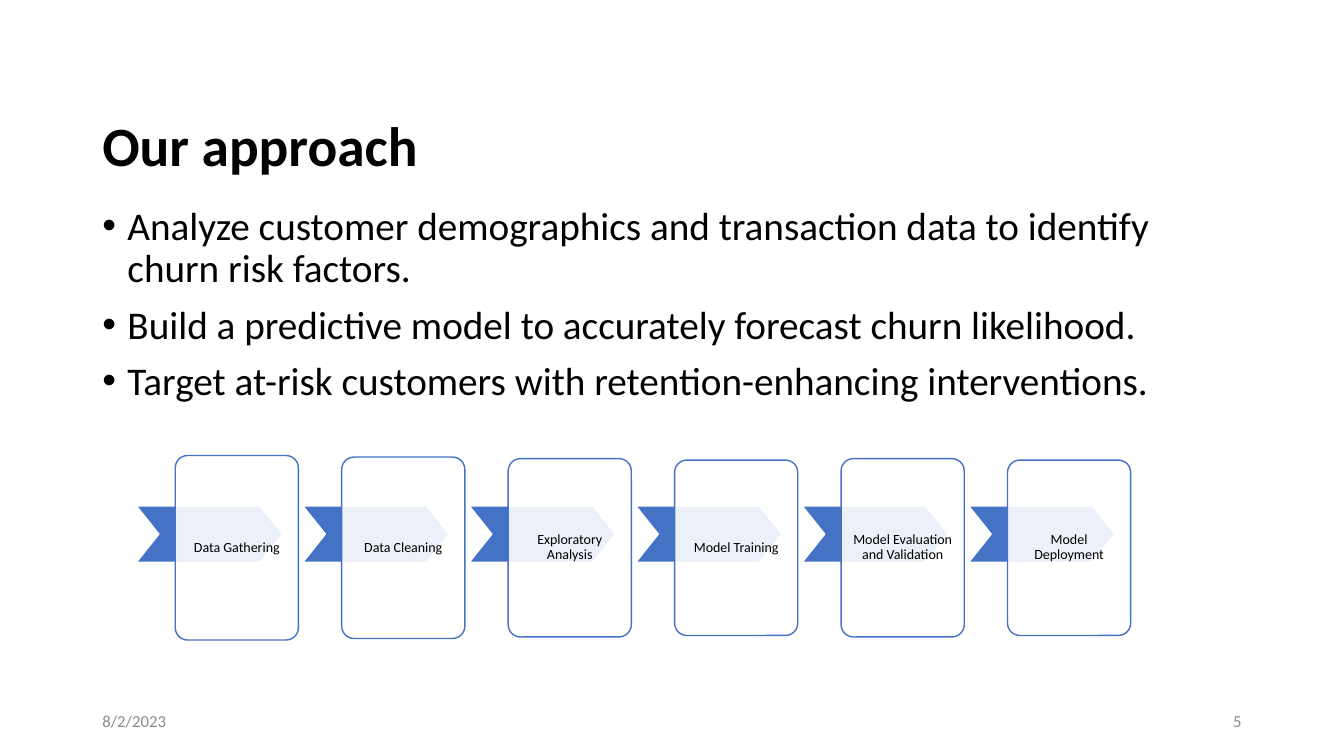
from dataclasses import dataclass

from lxml import etree
from pptx import Presentation
from pptx.dml.color import RGBColor
from pptx.enum import shapes, text
from pptx.oxml import ns
from pptx.util import Pt


@dataclass(frozen=True)
class Theme:
    font: str = "Calibri"
    ink: str = "000000"
    blue: str = "4472C4"
    white: str = "FFFFFF"
    gray: str = "8C8C8C"
    title: float = 39.6
    body: float = 28
    foot: float = 12
    label: float = 10


THEME = Theme()
ALIGN = text.PP_ALIGN
POINTS = [
    "Analyze customer demographics and transaction data to identify churn risk factors.",
    "Build a predictive model to accurately forecast churn likelihood.",
    "Target at-risk customers with retention-enhancing interventions.",
]
STEPS = [
    ("Data Gathering", 131.8),
    ("Data Cleaning", 129.6),
    ("Exploratory Analysis", 127.4),
    ("Model Training", 125.3),
    ("Model Evaluation and Validation", 127.4),
    ("Model Deployment", 125.3),
]
LEFT, PITCH, MIDDLE = 97.4, 118.9, 391.3


def bullet(para):
    props = para._p.get_or_add_pPr()
    props.set("marL", str(Pt(18)))
    props.set("indent", str(Pt(-18)))
    etree.SubElement(props, ns.qn("a:buFont")).set("typeface", "Arial")
    etree.SubElement(props, ns.qn("a:buChar")).set("char", "•")


def write(shape, lines, size, color=THEME.ink, bold=False, align=ALIGN.LEFT,
          middle=True, spacing=None, before=None, dots=False, inset=None):
    frame = shape.text_frame
    frame.word_wrap = True
    frame.vertical_anchor = text.MSO_ANCHOR.MIDDLE if middle else text.MSO_ANCHOR.TOP
    if inset is not None:
        frame.margin_left = frame.margin_right = Pt(inset)
        frame.margin_top = frame.margin_bottom = Pt(inset)
    for i, line in enumerate(lines):
        para = frame.add_paragraph() if i else frame.paragraphs[0]
        para.alignment = align
        if spacing:
            para.line_spacing = spacing
        if before:
            para.space_before = Pt(before)
        if dots:
            bullet(para)
        run = para.add_run()
        run.text = line
        font = run.font
        font.name, font.size, font.bold = THEME.font, Pt(size), bold
        font.color.rgb = RGBColor.from_string(color)


def label(slide, box, lines, size, **style):
    write(slide.shapes.add_textbox(*map(Pt, box)), lines, size, **style)


def block(slide, kind, box, adjust, fill, line):
    shape = slide.shapes.add_shape(kind, *map(Pt, box))
    shape.shadow.inherit = False
    shape.adjustments[0] = adjust
    shape.fill.solid()
    shape.fill.fore_color.rgb = RGBColor.from_string(fill)
    shape.line.color.rgb = RGBColor.from_string(line)
    shape.line.width = Pt(1)
    return shape


def fade(shape, percent):
    color = shape._element.spPr.find(ns.qn("a:solidFill"))[0]
    etree.SubElement(color, ns.qn("a:alpha")).set("val", str(percent * 1000))


def step(slide, left, name, height):
    kinds = shapes.MSO_SHAPE
    block(slide, kinds.CHEVRON, (left, 361.4, 104.4, 40.3), 0.4,
          THEME.blue, THEME.white)
    card = block(slide, kinds.ROUNDED_RECTANGLE,
                 (left + 27.8, MIDDLE - height / 2, 88, height), 0.1,
                 THEME.white, THEME.blue)
    fade(card, 90)
    write(card, [name], THEME.label, align=ALIGN.CENTER, spacing=0.9, inset=5.6)


def main():
    deck = Presentation()
    deck.slide_width, deck.slide_height = Pt(960), Pt(540)
    slide = deck.slides.add_slide(deck.slide_layouts[6])
    label(slide, (66, 79.2, 332, 54), ["Our approach"], THEME.title,
          bold=True, spacing=0.9)
    label(slide, (66, 144, 828, 342.7), POINTS, THEME.body,
          middle=False, spacing=0.9, before=10, dots=True)
    label(slide, (66, 500.5, 216, 28.8), ["8/2/2023"], THEME.foot, color=THEME.gray)
    label(slide, (678, 500.5, 216, 28.8), ["5"], THEME.foot,
          color=THEME.gray, align=ALIGN.RIGHT)
    for i, (name, height) in enumerate(STEPS):
        step(slide, LEFT + i * PITCH, name, height)
    deck.save("out.pptx")


if __name__ == "__main__":
    main()
